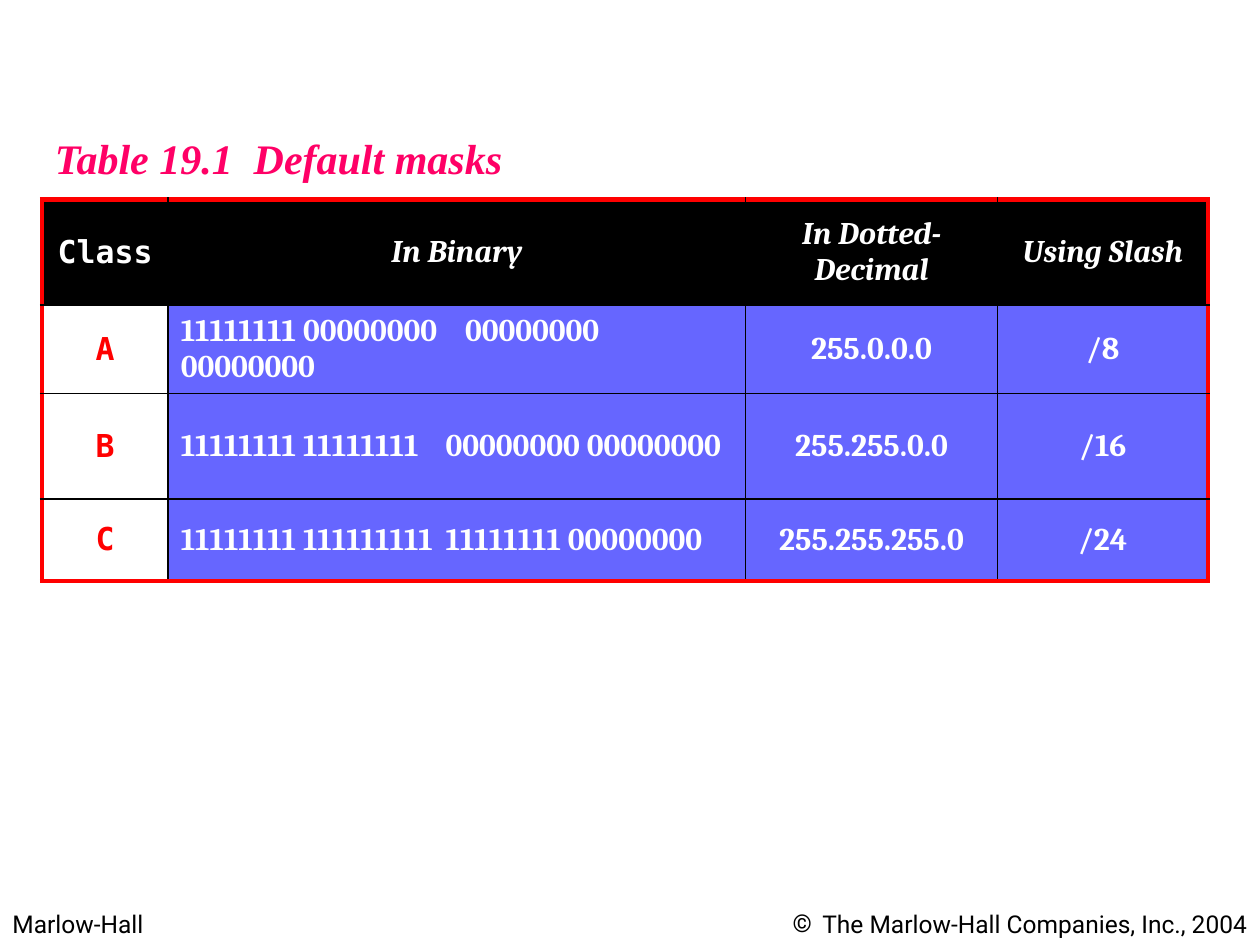
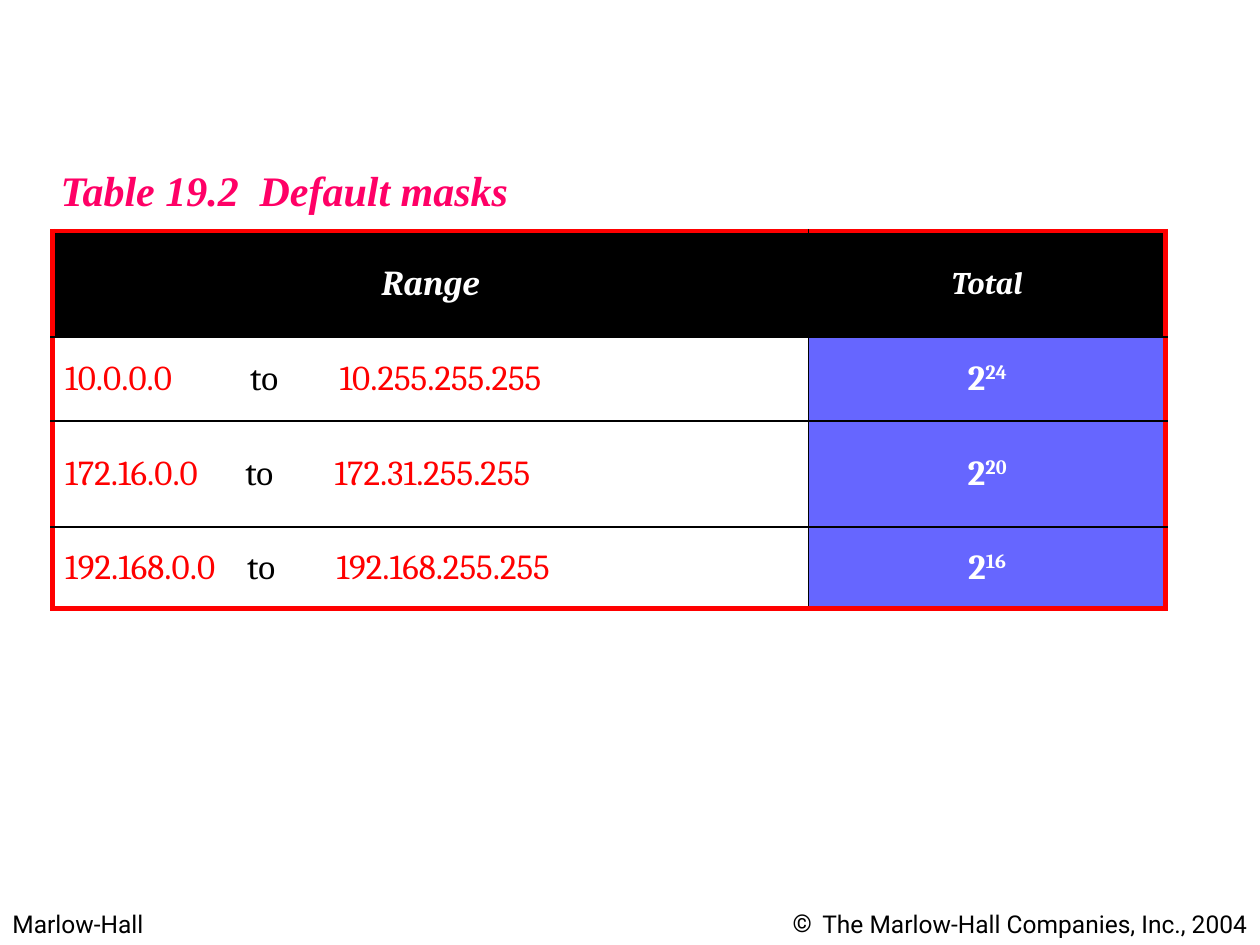
from lxml import etree
from pptx import Presentation
from pptx.dml.color import RGBColor
from pptx.enum.text import MSO_ANCHOR, MSO_AUTO_SIZE, PP_ALIGN
from pptx.oxml.ns import qn
from pptx.util import Cm, Pt

LEFT, CENTER, RIGHT = PP_ALIGN.LEFT, PP_ALIGN.CENTER, PP_ALIGN.RIGHT
MIDDLE = MSO_ANCHOR.MIDDLE
NO_AUTOFIT = MSO_AUTO_SIZE.NONE
TITLE_ONLY = 5

BLACK, WHITE, RED = "000000", "FFFFFF", "FF0000"
PINK, BLUE = "FF0066", "6666FF"
TITLE_FONT, FOOTER_FONT = "Times New Roman", "Roboto"
BODY_FONT, MONO_FONT = "Cambria", "DejaVu Sans Mono"

TITLE_TAB = 4.01
ROW_HEIGHTS = (2.13, 1.7, 2.13, 1.65)
FOOTERS = (
    ("Marlow-Hall", 0, 6.15, LEFT, None),
    ("The Marlow-Hall Companies, Inc., 2004", 12.7, 12.7, RIGHT, "©"),
)

SLIDES = (
    {
        "title": "Table 19.1\tDefault masks",
        "title_at": (0.85, 2.54),
        "table_at": (0.85, 4.02),
        "widths": (2.54, 11.64, 5.08, 4.24),
        "label_font": MONO_FONT,
        "label_bold": True,
        "header_sizes": (18, 18, 18, 18),
        "body_size": 18,
        "tabs": ((5.73,), (5.34,), (5.34,)),
        "rows": (
            (("Class",), ("In Binary",), ("In Dotted-Decimal",), ("Using Slash",)),
            (("A",), ("11111111 00000000\t00000000 00000000",), ("255.0.0.0",), ("/8",)),
            (("B",), ("11111111 11111111\t00000000 00000000",), ("255.255.0.0",), ("/16",)),
            (("C",), ("11111111 111111111\t11111111 00000000",), ("255.255.255.0",), ("/24",)),
        ),
    },
    {
        "title": "Table 19.2\tDefault masks",
        "title_at": (0.97, 3.18),
        "table_at": (1.06, 4.66),
        "widths": (15.24, 7.2),
        "label_font": BODY_FONT,
        "label_bold": False,
        "header_sizes": (20, 18),
        "body_size": 20,
        "tabs": ((3.73, 5.53), (3.63, 5.43), (3.67, 5.47)),
        "rows": (
            (("Range",), ("Total",)),
            (("10.0.0.0\t", "to\t", "10.255.255.255"), ("2", "24")),
            (("172.16.0.0\t", "to\t", "172.31.255.255"), ("2", "20")),
            (("192.168.0.0\t", "to\t", "192.168.255.255"), ("2", "16")),
        ),
    },
)


def format_font(font, name, size, color, bold=False, italic=False):
    font.name = name
    font.size = Pt(size)
    font.bold = bold
    font.italic = italic
    font.color.rgb = RGBColor.from_string(color)


def set_tabs(paragraph, positions):
    tab_list = etree.SubElement(paragraph._p.get_or_add_pPr(), qn("a:tabLst"))
    for position in positions:
        etree.SubElement(tab_list, qn("a:tab"), pos=str(Cm(position)), algn="l")


presentation = Presentation()
presentation.slide_width = Cm(25.4)
presentation.slide_height = Cm(19.05)

for content in SLIDES:
    slide = presentation.slides.add_slide(presentation.slide_layouts[TITLE_ONLY])

    for text, left, width, alignment, bullet in FOOTERS:
        footer = slide.shapes.add_textbox(Cm(left), Cm(18.21), Cm(width), Cm(0.84))
        footer.text_frame.word_wrap = True
        paragraph = footer.text_frame.paragraphs[0]
        paragraph.text = text
        paragraph.alignment = alignment
        format_font(paragraph.runs[0].font, FOOTER_FONT, 14, BLACK)
        if bullet:
            properties = paragraph._p.get_or_add_pPr()
            properties.set("marL", str(Cm(0.6)))
            properties.set("indent", str(-Cm(0.6)))
            etree.SubElement(properties, qn("a:buFont"), typeface=FOOTER_FONT)
            etree.SubElement(properties, qn("a:buChar"), char=bullet)

    title = slide.shapes.title
    title.left, title.top = (Cm(value) for value in content["title_at"])
    title.width, title.height = Cm(10.5), Cm(1.27)
    title.text_frame.text = content["title"]
    title.text_frame.word_wrap = True
    title.text_frame.auto_size = NO_AUTOFIT
    title.text_frame.vertical_anchor = MIDDLE
    paragraph = title.text_frame.paragraphs[0]
    paragraph.alignment = LEFT
    set_tabs(paragraph, (TITLE_TAB,))
    format_font(paragraph.runs[0].font, TITLE_FONT, 24, PINK, True, True)

    rows, widths = content["rows"], content["widths"]
    left, top = content["table_at"]
    table = slide.shapes.add_table(
        len(rows), len(widths), Cm(left), Cm(top), Cm(sum(widths)), Cm(sum(ROW_HEIGHTS))
    ).table
    table.first_row = False
    table.horz_banding = False
    for column, width in zip(table.columns, widths):
        column.width = Cm(width)
    for row, height in zip(table.rows, ROW_HEIGHTS):
        row.height = Cm(height)

    for row_index, row in enumerate(rows):
        for column_index, parts in enumerate(row):
            is_header = row_index == 0
            is_label = column_index == 0
            font_name = content["label_font"] if is_label else BODY_FONT
            size = content["header_sizes"][column_index] if is_header else content["body_size"]
            bold = is_header or not is_label or content["label_bold"]
            italic = is_header and font_name == BODY_FONT
            fill_color = BLACK if is_header else WHITE if is_label else BLUE
            text_color = RED if is_label and not is_header else WHITE

            cell = table.cell(row_index, column_index)
            cell.vertical_anchor = MIDDLE
            cell.fill.solid()
            cell.fill.fore_color.rgb = RGBColor.from_string(fill_color)
            paragraph = cell.text_frame.paragraphs[0]
            paragraph.alignment = CENTER
            if "\t" in parts[0]:
                paragraph.alignment = LEFT
                set_tabs(paragraph, content["tabs"][row_index - 1])
            for part in parts:
                run = paragraph.add_run()
                run.text = part
                color = BLACK if part == "to\t" else text_color
                format_font(run.font, font_name, size, color, bold, italic)
            if len(parts) == 2:
                run._r.get_or_add_rPr().set("baseline", "30000")

            outer_edges = (
                ("a:lnL", is_label),
                ("a:lnR", column_index == len(widths) - 1),
                ("a:lnT", is_header),
                ("a:lnB", row_index == len(rows) - 1),
            )
            cell_properties = cell._tc.get_or_add_tcPr()
            for position, (edge, is_outer) in enumerate(outer_edges):
                line = etree.Element(qn(edge), w=str(Pt(3 if is_outer else 1)))
                line_fill = etree.SubElement(line, qn("a:solidFill"))
                etree.SubElement(line_fill, qn("a:srgbClr"), val=RED if is_outer else BLACK)
                cell_properties.insert(position, line)

presentation.save("out.pptx")
